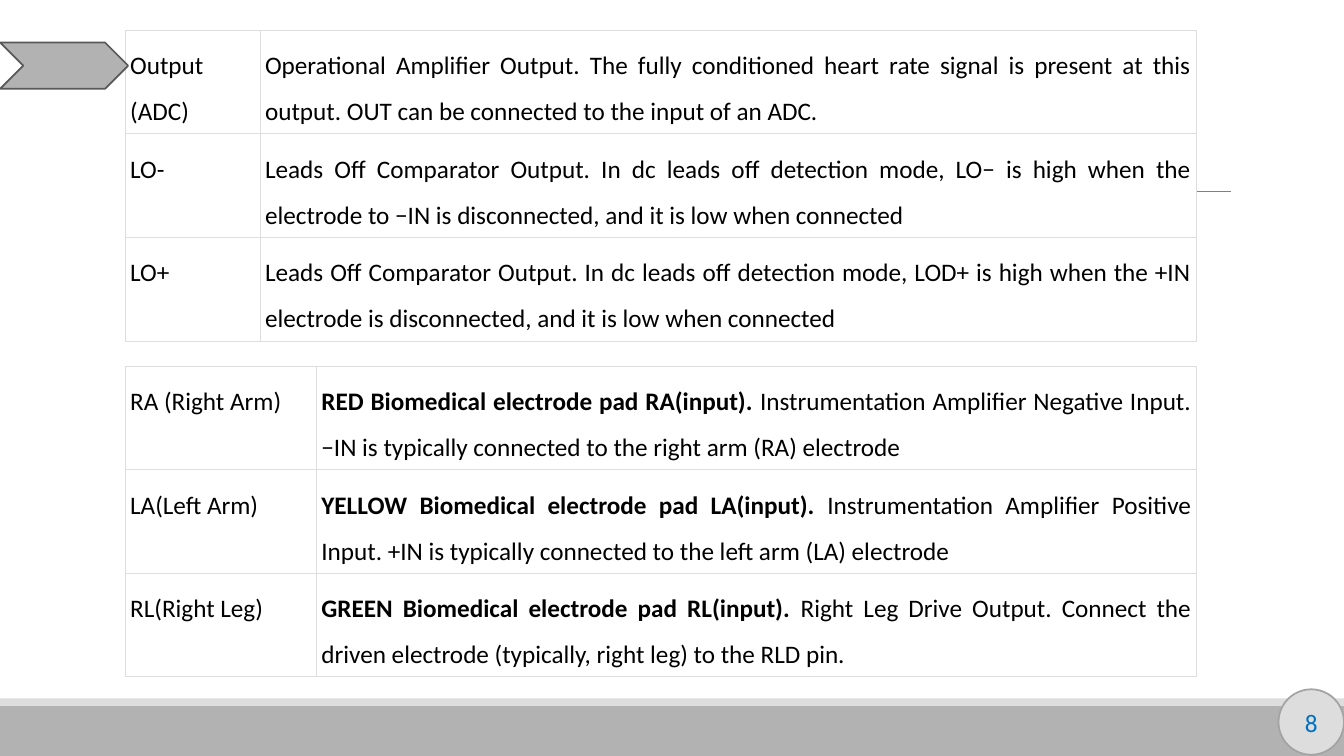
from lxml import etree
from pptx import Presentation
from pptx.dml.color import RGBColor
from pptx.enum.shapes import MSO_CONNECTOR, MSO_SHAPE
from pptx.enum.text import MSO_ANCHOR, PP_ALIGN
from pptx.oxml.ns import qn
from pptx.util import Cm, Pt

RECT = MSO_SHAPE.RECTANGLE
CHEVRON = MSO_SHAPE.CHEVRON
OVAL = MSO_SHAPE.OVAL
STRAIGHT = MSO_CONNECTOR.STRAIGHT
MIDDLE = MSO_ANCHOR.MIDDLE
CENTER = PP_ALIGN.CENTER
JUSTIFY = PP_ALIGN.JUSTIFY

WHITE = RGBColor(0xFF, 0xFF, 0xFF)
BLACK = RGBColor(0, 0, 0)
BLUE = RGBColor(0x00, 0x70, 0xC0)
PALE = RGBColor(0xDD, 0xDD, 0xDD)
SILVER = RGBColor(0xB2, 0xB2, 0xB2)
RIM = RGBColor(0xA3, 0xA3, 0xA3)
GRAY = RGBColor(0x80, 0x80, 0x80)
DARK = RGBColor(0x59, 0x59, 0x59)

FONT = "Calibri"
SIZE = Pt(18)
WIDE, HIGH = 33.87, 19.05
LEFT = 3.15
ROW = 2.61
INSET = Cm(0.13)

# Each row: pin, bold lead, description
OUTPUTS = [
    ("Output (ADC)", "",
     "Operational Amplifier Output. The fully conditioned heart rate signal "
     "is present at this output. OUT can be connected to the input of an ADC."),
    ("LO-", "",
     "Leads Off Comparator Output. In dc leads off detection mode, LO− is high "
     "when the electrode to −IN is disconnected, and it is low when connected"),
    ("LO+", "",
     "Leads Off Comparator Output. In dc leads off detection mode, LOD+ is high "
     "when the +IN electrode is disconnected, and it is low when connected"),
]
PADS = [
    ("RA (Right Arm)", "RED Biomedical electrode pad RA(input).",
     " Instrumentation Amplifier Negative Input. "
     "−IN is typically connected to the right arm (RA) electrode"),
    ("LA(Left Arm)", "YELLOW Biomedical electrode pad LA(input). ",
     "Instrumentation Amplifier Positive Input. "
     "+IN is typically connected to the left arm (LA) electrode"),
    ("RL(Right Leg)", "GREEN Biomedical electrode pad RL(input). ",
     "Right Leg Drive Output. "
     "Connect the driven electrode (typically, right leg) to the RLD pin."),
]


def add_run(para, text, color=BLACK, bold=False):
    run = para.add_run()
    run.text = text
    font = run.font
    font.name, font.size, font.bold = FONT, SIZE, bold
    font.color.rgb = color


def add_block(slide, kind, left, top, width, height, fill, line=None):
    block = slide.shapes.add_shape(kind, Cm(left), Cm(top), Cm(width), Cm(height))
    block.shadow.inherit = False
    block.fill.solid()
    block.fill.fore_color.rgb = fill
    if line is None:
        block.line.fill.background()
    else:
        block.line.color.rgb = line
        block.line.width = Pt(1.25)
    return block


def add_rule(slide, left, right, top):
    rule = slide.shapes.add_connector(STRAIGHT, Cm(left), Cm(top), Cm(right), Cm(top))
    rule.line.color.rgb = GRAY
    rule.line.width = Pt(0.5)
    etree.SubElement(rule._element.spPr, qn("a:effectLst"))


def add_badge(slide, text):
    badge = add_block(slide, OVAL, 32.22, 17.37, 1.65, 1.65, PALE, RIM)
    frame = badge.text_frame
    frame.margin_left = frame.margin_right = 0
    frame.vertical_anchor = MIDDLE
    para = frame.paragraphs[0]
    para.alignment = CENTER
    add_run(para, text, BLUE)


def set_edges(cell):
    """Draw a thin pale line on all four sides of the cell."""
    props = cell._tc.get_or_add_tcPr()
    for side in ("lnL", "lnR", "lnT", "lnB"):
        edge = etree.SubElement(props, qn("a:" + side), w=str(Pt(0.6)))
        fill = etree.SubElement(edge, qn("a:solidFill"))
        etree.SubElement(fill, qn("a:srgbClr"), val=str(PALE))


def fill_cell(cell, lead, text):
    set_edges(cell)
    cell.fill.solid()
    cell.fill.fore_color.rgb = WHITE
    cell.margin_left = cell.margin_right = INSET
    cell.margin_top = cell.margin_bottom = INSET
    para = cell.text_frame.paragraphs[0]
    para.alignment = JUSTIFY
    para.line_spacing = 1.5
    if lead:
        add_run(para, lead, bold=True)
    add_run(para, text)


def add_pins(slide, top, widths, rows):
    frame = slide.shapes.add_table(len(rows), len(widths), Cm(LEFT), Cm(top),
                                   Cm(sum(widths)), Cm(ROW * len(rows)))
    table = frame.table
    table.first_row = table.horz_banding = False
    for col, width in zip(table.columns, widths):
        col.width = Cm(width)
    for row, (pin, lead, text) in zip(table.rows, rows):
        row.height = Cm(ROW)
        fill_cell(row.cells[0], "", pin)
        fill_cell(row.cells[1], lead, text)


def main():
    deck = Presentation()
    deck.slide_width, deck.slide_height = Cm(WIDE), Cm(HIGH)
    slide = deck.slides.add_slide(deck.slide_layouts[6])
    add_block(slide, RECT, 0, 17.78, WIDE, 1.27, SILVER)
    add_block(slide, RECT, 0, 17.6, WIDE, 0.18, PALE)
    add_rule(slide, 3.33, 31.01, 4.83)
    add_pins(slide, 0.76, (3.4, 23.6), OUTPUTS)
    add_pins(slide, 9.22, (4.82, 22.18), PADS)
    add_block(slide, CHEVRON, 0, 1.07, 3.23, 1.17, SILVER, DARK)
    add_badge(slide, "8")
    deck.save("out.pptx")


if __name__ == "__main__":
    main()
